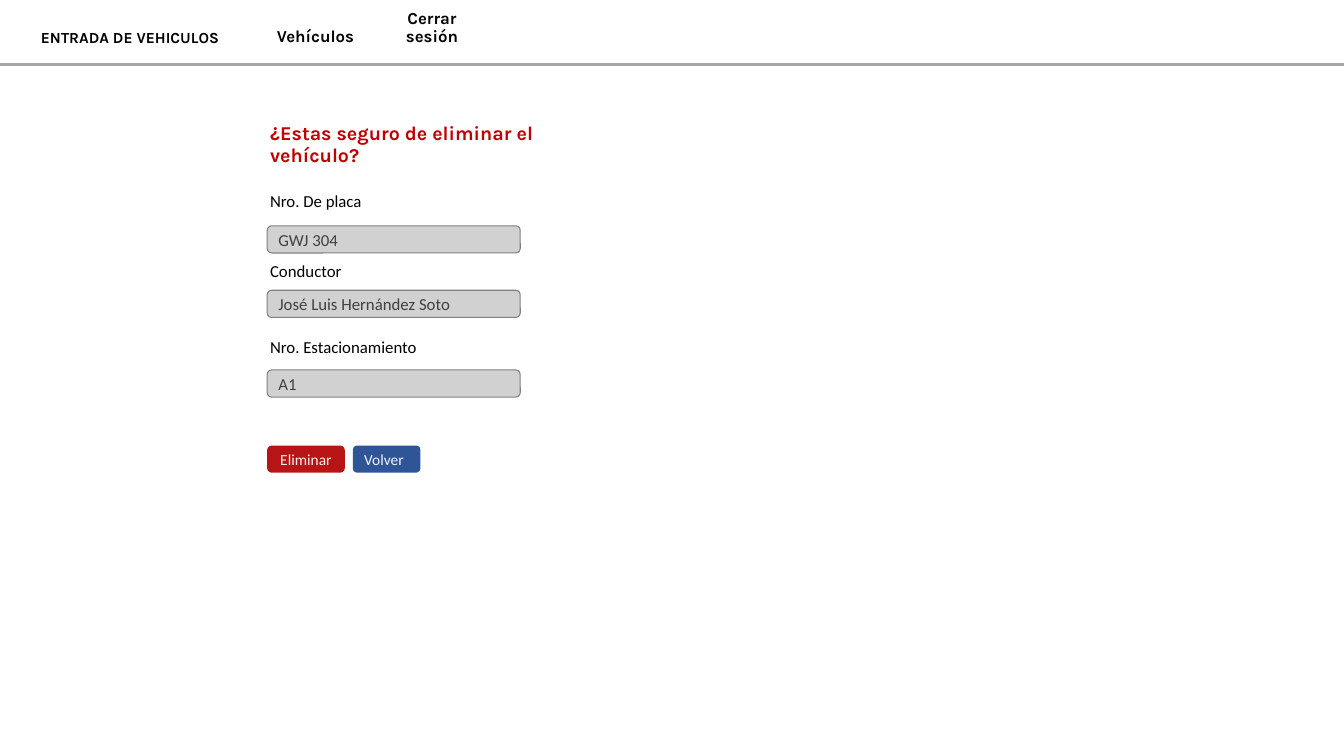
from lxml.etree import SubElement
from pptx import Presentation
from pptx.dml.color import RGBColor
from pptx.enum.shapes import MSO_CONNECTOR as Connector, MSO_SHAPE as Preset
from pptx.enum.text import MSO_ANCHOR as Anchor, MSO_AUTO_SIZE as AutoSize, PP_ALIGN as Align
from pptx.oxml.ns import qn
from pptx.util import Inches, Pt

BLACK = RGBColor(0x00, 0x00, 0x00)
WHITE = RGBColor(0xFF, 0xFF, 0xFF)
GRAY = RGBColor(0xA5, 0xA5, 0xA5)
BORDER = RGBColor(0x80, 0x80, 0x80)
FIELD_TEXT = RGBColor(0x40, 0x40, 0x40)
BUTTON_TEXT = RGBColor(0xF2, 0xF2, 0xF2)
WARNING = RGBColor(0xC0, 0x00, 0x00)
RED = RGBColor(0xB7, 0x15, 0x15)
BLUE = RGBColor(0x2F, 0x55, 0x97)

SITE_NAME = "ENTRADA DE VEHICULOS"
MENU = [("Vehículos", 1.1), ("Cerrar sesión", 1.21)]
QUESTION = "¿Estas seguro de eliminar el vehículo?"
FIELDS = [
    ("Nro. De placa", 1.84, 1.12, "GWJ 304", 2.24),
    ("Conductor", 2.54, 0.92, "José Luis Hernández Soto", 2.88),
    ("Nro. Estacionamiento", 3.29, 1.67, "A1", 3.67),
]
BUTTONS = [("Eliminar", 0.77, RED, Align.CENTER), ("Volver", 0.67, BLUE, Align.LEFT)]

WIDTH, HEIGHT = 13.33, 7.5
MENU_TOP, MENU_HEIGHT, RULE_TOP = 0.1, 0.41, 0.64
LABEL_LEFT, LABEL_HEIGHT = 2.58, 0.3
FIELD_LEFT, FIELD_WIDTH, ROW_HEIGHT = 2.65, 2.51, 0.27
BUTTON_TOP, BUTTON_GAP = 4.42, 0.08

MENU_FONT = dict(name="Karla", size=Pt(12), bold=True)
SITE_FONT = MENU_FONT | dict(size=Pt(11))
QUESTION_FONT = MENU_FONT | dict(size=Pt(14))
FORM_FONT = dict(name="Calibri", size=Pt(12), bold=False)
BUTTON_FONT = FORM_FONT | dict(size=Pt(11))


def write(shape, text, font, color, align=Align.LEFT, spacing=1.0, **frame_format):
    frame = shape.text_frame
    settings = dict(word_wrap=True, auto_size=AutoSize.NONE, vertical_anchor=Anchor.TOP)
    for name, value in (settings | frame_format).items():
        setattr(frame, name, value)
    paragraph = frame.paragraphs[0]
    paragraph.alignment = align
    paragraph.line_spacing = spacing
    run = paragraph.add_run()
    run.text = text
    for name, value in font.items():
        setattr(run.font, name, value)
    run.font.color.rgb = color


def add_text(box, *content, **formats):
    shape = slide.shapes.add_textbox(*map(Inches, box))
    write(shape, *content, **formats)


def add_rounded(box, fill, *content, **formats):
    shape = slide.shapes.add_shape(Preset.ROUNDED_RECTANGLE, *map(Inches, box))
    shape.shadow.inherit = False
    shape.fill.solid()
    shape.fill.fore_color.rgb = fill
    shape.line.fill.background()
    write(shape, *content, vertical_anchor=Anchor.MIDDLE, **formats)
    return shape


presentation = Presentation()
presentation.slide_width, presentation.slide_height = Inches(WIDTH), Inches(HEIGHT)
slide = presentation.slides.add_slide(presentation.slide_layouts[5])
slide.background.fill.solid()
slide.background.fill.fore_color.rgb = WHITE

heading = dict(spacing=0.9, vertical_anchor=Anchor.BOTTOM)
title = slide.shapes.title
title_box = dict(left=0, top=MENU_TOP, width=LABEL_LEFT, height=MENU_HEIGHT)
for name, value in title_box.items():
    setattr(title, name, Inches(value))
write(title, SITE_NAME, SITE_FONT, BLACK, Align.CENTER, **heading)

left = LABEL_LEFT
for text, width in MENU:
    add_text((left, MENU_TOP, width, MENU_HEIGHT), text, MENU_FONT, BLACK, Align.CENTER, **heading)
    left += width

rule = slide.shapes.add_connector(
    Connector.STRAIGHT, 0, Inches(RULE_TOP), Inches(WIDTH), Inches(RULE_TOP))
rule.line.color.rgb = GRAY
rule.line.width = Pt(2.25)
SubElement(rule.element.spPr, qn("a:effectLst"))

add_text((LABEL_LEFT, 1.26, 3.42, 0.44), QUESTION, QUESTION_FONT, WARNING, **heading)

for label, label_top, label_width, value, field_top in FIELDS:
    add_text((LABEL_LEFT, label_top, label_width, LABEL_HEIGHT), label, FORM_FONT, BLACK,
             word_wrap=False, auto_size=AutoSize.SHAPE_TO_FIT_TEXT)
    field = add_rounded((FIELD_LEFT, field_top, FIELD_WIDTH, ROW_HEIGHT), GRAY,
                        value, FORM_FONT, FIELD_TEXT)
    field.line.color.rgb = BORDER
    field.line.width = Pt(0.75)
    fill_color = field.element.spPr.find(qn("a:solidFill"))[0]
    SubElement(fill_color, qn("a:alpha"), val="50000")

left = FIELD_LEFT
for text, width, fill, align in BUTTONS:
    add_rounded((left, BUTTON_TOP, width, ROW_HEIGHT), fill, text, BUTTON_FONT, BUTTON_TEXT, align)
    left += width + BUTTON_GAP

presentation.save("out.pptx")
